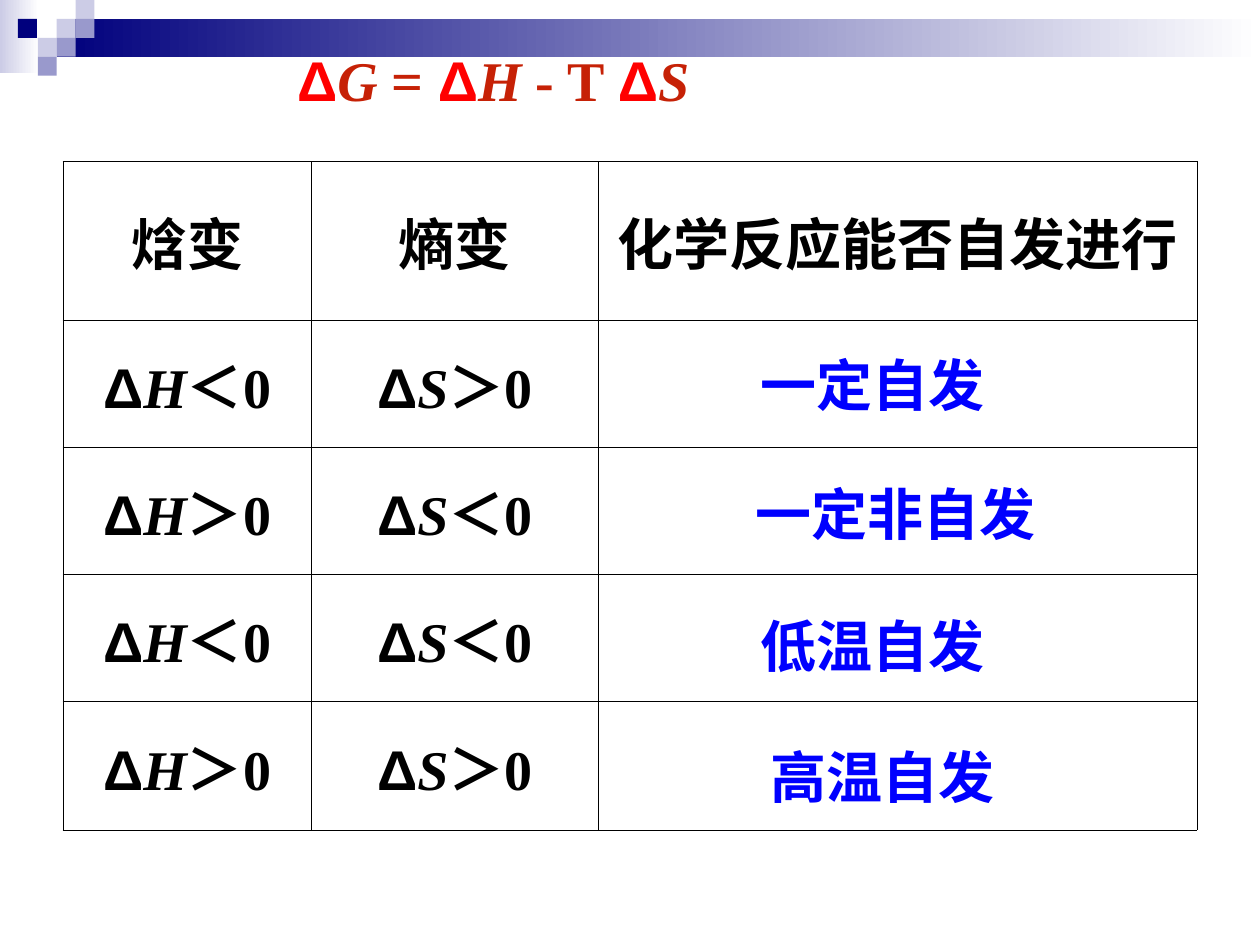
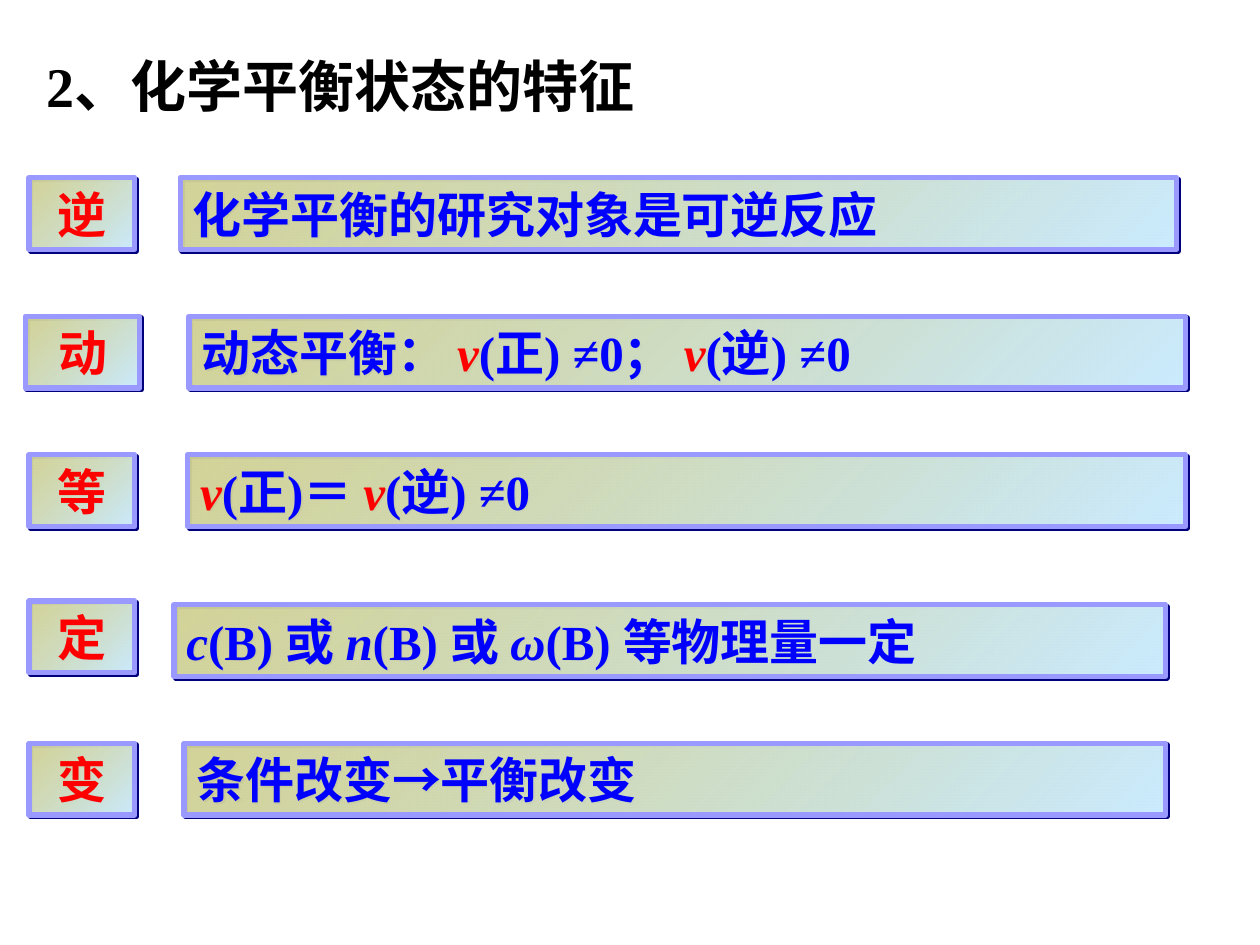
import pptx
import pptx.util
import pptx.dml.color
import pptx.enum.shapes
import pptx.enum.text
import pptx.oxml.ns
import lxml.etree

Pt = pptx.util.Pt
qn = pptx.oxml.ns.qn
ALIGN = pptx.enum.text.PP_ALIGN

WIDTH, HEIGHT = 720, 540
NAVY, LILAC, SLATE = "00007D", "CCCCE6", "9999CC"
WHITE, BLACK, RED, BLUE, RUST = "FFFFFF", "000000", "FF0000", "0000FF", "C62106"
FRAME, SAND, SKY = "9999FF", "FFFF99", "CCECFF"
TIMES, ARIAL, CJK = "Times New Roman", "Arial", "Noto Sans CJK SC"
TITLE_SIZE, BODY_SIZE = 32, 28


# Shared helpers
def rgb(hex_code):
    return pptx.dml.color.RGBColor.from_string(hex_code)


def add_child(parent, tag, **attributes):
    child = lxml.etree.SubElement(parent, qn(tag))
    for key, value in attributes.items():
        child.set(key, str(value))
    return child


def plain(text, color, font=CJK):
    return text, color, font, False


def symbol(text, color):
    return text, color, TIMES, True


def delta(quantity, delta_color, quantity_color):
    return [plain("Δ", delta_color, ARIAL), symbol(quantity, quantity_color)]


def write(frame, runs, size, align=ALIGN.LEFT):
    frame.word_wrap = True
    frame.vertical_anchor = pptx.enum.text.MSO_ANCHOR.MIDDLE
    line = frame.paragraphs[0]
    line.alignment = align
    for text, color, font, italic in runs:
        run = line.add_run()
        run.text = text
        run.font.size = Pt(size)
        run.font.bold = True
        run.font.italic = italic
        run.font.name = font
        run.font.color.rgb = rgb(color)
        add_child(run._r.get_or_add_rPr(), "a:ea", typeface=CJK)


def add_text(slide, box, runs, size=TITLE_SIZE):
    write(slide.shapes.add_textbox(*map(Pt, box)).text_frame, runs, size)


def add_rect(slide, box, *colors, angle=0):
    rect = slide.shapes.add_shape(
        pptx.enum.shapes.MSO_SHAPE.RECTANGLE, *map(Pt, box))
    rect.shadow.inherit = False
    rect.line.fill.background()
    if len(colors) == 1:
        rect.fill.solid()
        rect.fill.fore_color.rgb = rgb(colors[0])
    else:
        rect.fill.gradient()
        rect.fill.gradient_angle = angle
        for stop, color in zip(rect.fill.gradient_stops, colors):
            stop.color.rgb = rgb(color)
    return rect


# Top band with its mosaic of small squares
def draw_band(slide, left, top, width, unit=10.8):
    add_rect(slide, (left, top, 22.3, 41.8), LILAC, WHITE)
    add_rect(slide, (left + 3 * unit, top + unit, width - 3 * unit, 2 * unit),
             NAVY, WHITE)
    mosaic = [(3, 1, LILAC), (4, 0, LILAC), (4, 1, SLATE), (2, 2, LILAC),
              (0.95, 1, NAVY), (3, 2, SLATE), (2, 3, SLATE)]
    for column, row, color in mosaic:
        add_rect(slide, (left + column * unit, top + row * unit, unit, unit), color)


# Table of enthalpy and entropy signs
def draw_sign_table(slide, left, top):
    widths = [141.8, 164.2, 342]
    heights = [90.7, 72.7, 72.7, 72.7, 73.4]
    signs = [("＜", "＞"), ("＞", "＜"), ("＜", "＜"), ("＞", "＞")]
    rows = [[[plain(head, BLACK)] for head in ("焓变", "熵变", "化学反应能否自发进行")]]
    for pair in signs:
        rows.append([delta(quantity, BLACK, BLACK) + [plain(sign + "0", BLACK, TIMES)]
                     for quantity, sign in zip("HS", pair)] + [[]])

    table = slide.shapes.add_table(
        len(heights), len(widths), Pt(left), Pt(top),
        Pt(sum(widths)), Pt(sum(heights))).table
    table.first_row = table.horz_banding = False
    for column, width in zip(table.columns, widths):
        column.width = Pt(width)
    for row, height, contents in zip(table.rows, heights, rows):
        row.height = Pt(height)
        for cell, runs in zip(row.cells, contents):
            draw_cell(cell, runs)


def draw_cell(cell, runs):
    cell.vertical_anchor = pptx.enum.text.MSO_ANCHOR.MIDDLE
    write(cell.text_frame, runs, TITLE_SIZE, ALIGN.CENTER)
    properties = cell._tc.get_or_add_tcPr()
    for side in ("a:lnL", "a:lnR", "a:lnT", "a:lnB"):
        border = add_child(properties, side, w=Pt(0.45))
        add_child(add_child(border, "a:solidFill"), "a:srgbClr", val=BLACK)
    cell.fill.background()


# Verdicts laid over the last column
def draw_verdicts(slide, left, top):
    verdicts = [("一定自发", 2.9, 0, 153.4), ("一定非自发", 0, 73.4, 198.7),
                ("低温自发", 2.9, 149, 181.4), ("高温自发", 8.6, 223.9, 175.7)]
    for verdict, dx, dy, width in verdicts:
        add_text(slide, (left + dx, top + dy, width, 46), [plain(verdict, BLUE)])


def build_spontaneity_slide(slide):
    draw_band(slide, 0, 0, WIDTH)
    draw_sign_table(slide, 36, 92.2)
    draw_verdicts(slide, 424.8, 196.6)
    formula = (delta("G", RED, RUST) + [plain(" = ", RUST, TIMES)]
               + delta("H", RED, RUST) + [plain(" - T ", RUST, TIMES)]
               + delta("S", RED, RUST))
    add_text(slide, (162.7, 22.3, 362.2, 46), formula)


# Framed panel with a hard offset shadow
def draw_panel(slide, box, runs, align=ALIGN.LEFT):
    panel = add_rect(slide, box, SAND, SKY, angle=315)
    panel.line.color.rgb = rgb(FRAME)
    panel.line.width = Pt(3)
    properties = panel._element.spPr
    sand = properties.find(qn("a:gradFill")).find(".//" + qn("a:srgbClr"))
    add_child(sand, "a:alpha", val=78000)
    shadow = add_child(properties.find(qn("a:effectLst")), "a:outerShdw",
                       blurRad=0, dist=Pt(1.4), dir=45 * 60000,
                       algn="ctr", rotWithShape=0)
    add_child(shadow, "a:srgbClr", val=NAVY)
    write(panel.text_frame, runs, BODY_SIZE, align)


# One feature: keyword tag and its explanation
def draw_feature(slide, keyword, tag, panel, runs, height=41):
    tag_left, tag_top, tag_width = tag
    left, top, width = panel
    draw_panel(slide, (tag_left, tag_top, tag_width, height),
               [plain(keyword, RED)], ALIGN.CENTER)
    draw_panel(slide, (left, top, width, height), runs)


def build_features_slide(slide):
    def blue(text):
        return plain(text, BLUE, TIMES)

    rate = symbol("v", RED)
    features = [
        ("逆", (16.6, 101.5, 60.5), (103, 101.5, 569.5),
         [blue("化学平衡的研究对象是可逆反应")]),
        ("动", (14.4, 180.7, 65.5), (108, 180.7, 569.5),
         [blue("动态平衡： "), rate, blue("(正) ≠0； "), rate, blue("(逆) ≠0")]),
        ("等", (16.6, 259.9, 60.5), (107.3, 259.9, 570.2),
         [rate, blue("(正)＝ "), rate, blue("(逆) ≠0")]),
        ("定", (16.6, 343.4, 60.5), (99.4, 345.6, 566.6),
         [symbol("c", BLUE), blue("(B) 或 "), symbol("n", BLUE), blue("(B) 或 "),
          symbol("ω", BLUE), blue("(B) 等物理量一定")]),
        ("变", (16.6, 424.8, 60.5), (105.1, 424.8, 560.9),
         [plain("条件改变→平衡改变", BLUE)]),
    ]
    for feature in features:
        draw_feature(slide, *feature)
    add_text(slide, (19.4, 25.9, 595.4, 46),
             [plain("2、化学平衡状态的特征", BLACK, TIMES)])


def main():
    deck = pptx.Presentation()
    deck.slide_width, deck.slide_height = Pt(WIDTH), Pt(HEIGHT)
    for build in (build_spontaneity_slide, build_features_slide):
        build(deck.slides.add_slide(deck.slide_layouts[6]))
    deck.save("out.pptx")


if __name__ == "__main__":
    main()
